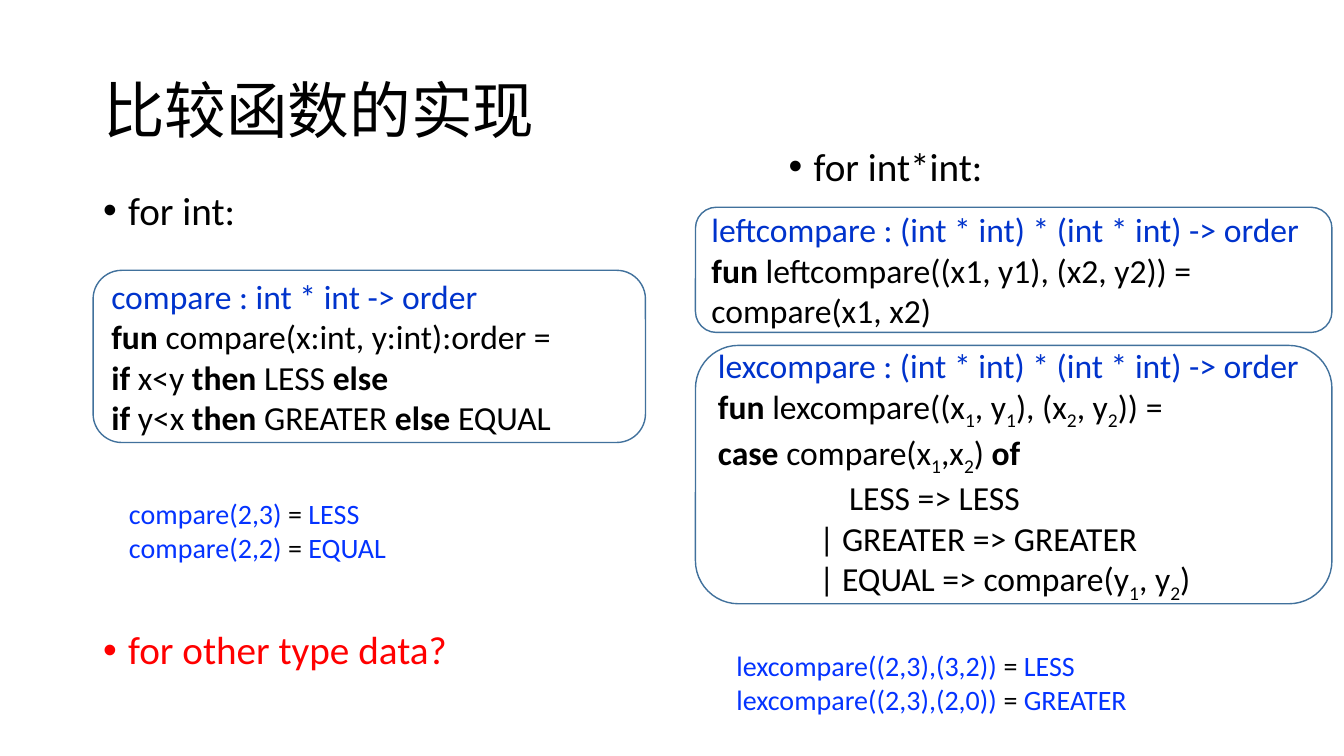
from lxml import etree
from pptx import Presentation
from pptx.dml.color import RGBColor
from pptx.enum.shapes import MSO_SHAPE
from pptx.enum.text import MSO_ANCHOR, MSO_AUTO_SIZE, PP_ALIGN
from pptx.oxml.ns import qn
from pptx.util import Pt

ROUNDED = MSO_SHAPE.ROUNDED_RECTANGLE
TOP, MIDDLE = MSO_ANCHOR.TOP, MSO_ANCHOR.MIDDLE
LEFT = PP_ALIGN.LEFT
NO_FIT = MSO_AUTO_SIZE.NONE
COMPARISON_LAYOUT = 4
FONT = "Calibri"
EMU_PER_PIXEL = 914400 / 100.7
SLIDE_SIZE = (1343, 755)
COLORS = {"text": "000000", "signature": "0033CC", "result": "0433FF",
          "question": "FF0000", "outline": "41719C"}

# Content; areas are left, top, width, height in pixels
TITLE = ("比较函数的实现", (93, 40, 1158, 146))
BULLETS = [
    ("for int:", "text", (93, 186, 284, 65)),
    ("for int*int:", "text", (778, 142, 284, 65)),
    ("for other type data?", "question", (93, 625, 461, 65)),
]
# In code, ^ switches the accent colour, ` bold and _ subscript;
# each line is paired with its indent in pixels
CODE_BOXES = [
    ((93, 270, 552, 172), [
        ("^compare : int * int -> order", 0),
        ("`fun` compare(x:int, y:int):order =", 0),
        ("`if` x<y `then` LESS `else`", 0),
        ("`if` y<x `then` GREATER `else` EQUAL", 0),
    ]),
    ((695, 207, 636, 125), [
        ("^leftcompare : (int * int) * (int * int) -> order", 0),
        ("`fun` leftcompare((x1, y1), (x2, y2)) = compare(x1, x2)", 0),
    ]),
    ((695, 345, 636, 258), [
        ("^lexcompare : (int * int) * (int * int) -> order", 0),
        ("`fun` lexcompare((x_1_, y_1_), (x_2_, y_2_)) =", 0),
        ("`case` compare(x_1_,x_2_) `of`", 0),
        ("LESS => LESS", 131),
        ("| GREATER => GREATER", 101),
        ("| EQUAL => compare(y_1_, y_2_)", 101),
    ]),
]
EXAMPLES = [
    ((119, 491, 309, 78), [
        ("^compare(2,3) ^= ^LESS", 0),
        ("^compare(2,2) ^= ^EQUAL", 0),
    ]),
    ((726, 643, 600, 78), [
        ("^lexcompare((2,3),(3,2)) ^= ^LESS", 0),
        ("^lexcompare((2,3),(2,0)) ^= ^GREATER", 0),
    ]),
]


def emu(pixels):
    return round(pixels * EMU_PER_PIXEL)


def rgb(name):
    return RGBColor.from_string(COLORS[name])


def format_run(run, size, color, bold=False):
    run.font.name = FONT
    run.font.size = Pt(size)
    run.font.bold = bold
    run.font.color.rgb = rgb(color)


def fill_placeholder(shape, text, area, size, color, anchor):
    shape.left, shape.top, shape.width, shape.height = map(emu, area)
    frame = shape.text_frame
    frame.text = text
    frame.auto_size = NO_FIT
    frame.vertical_anchor = anchor
    paragraph = frame.paragraphs[0]
    paragraph.alignment = LEFT
    paragraph.line_spacing = 0.9
    format_run(paragraph.runs[0], size, color)
    return paragraph


def add_bullet(paragraph, indent):
    paragraph.space_before = Pt(10)
    properties = paragraph._p.get_or_add_pPr()
    properties.set("marL", str(emu(indent)))
    properties.set("indent", str(-emu(indent)))
    etree.SubElement(properties, qn("a:buFont"), typeface="Arial")
    etree.SubElement(properties, qn("a:buChar"), char="•")


def write_code(frame, lines, size, accent):
    frame.word_wrap = True
    for number, (line, indent) in enumerate(lines):
        paragraph = frame.add_paragraph() if number else frame.paragraphs[0]
        paragraph.alignment = LEFT
        if indent:
            paragraph._p.get_or_add_pPr().set("marL", str(emu(indent)))
        active = {"^": False, "`": False, "_": False}
        piece = ""
        for character in line + "^":
            if character not in active:
                piece += character
                continue
            if piece:
                run = paragraph.add_run()
                run.text = piece
                color = accent if active["^"] else "text"
                format_run(run, size, color, active["`"])
                if active["_"]:
                    run.font._element.set("baseline", "-25000")
            active[character] = not active[character]
            piece = ""


presentation = Presentation()
presentation.slide_width, presentation.slide_height = map(emu, SLIDE_SIZE)
slide = presentation.slides.add_slide(
    presentation.slide_layouts[COMPARISON_LAYOUT])

# Title and bullets
title_text, title_area = TITLE
title, *bodies = list(slide.placeholders)
fill_placeholder(title, title_text, title_area, 44, "text", MIDDLE)
for body, (text, color, area) in zip(bodies, BULLETS):
    add_bullet(fill_placeholder(body, text, area, 28, color, TOP), 25)
for unused in bodies[len(BULLETS):]:
    unused.element.getparent().remove(unused.element)

# Function definitions
for area, lines in CODE_BOXES:
    box = slide.shapes.add_shape(ROUNDED, *map(emu, area))
    box.shadow.inherit = False
    box.fill.background()
    box.line.color.rgb = rgb("outline")
    box.line.width = Pt(1)
    box.text_frame.vertical_anchor = MIDDLE
    write_code(box.text_frame, lines, 24, "signature")

# Example calls
for area, lines in EXAMPLES:
    example = slide.shapes.add_textbox(*map(emu, area))
    write_code(example.text_frame, lines, 20, "result")

presentation.save("out.pptx")
